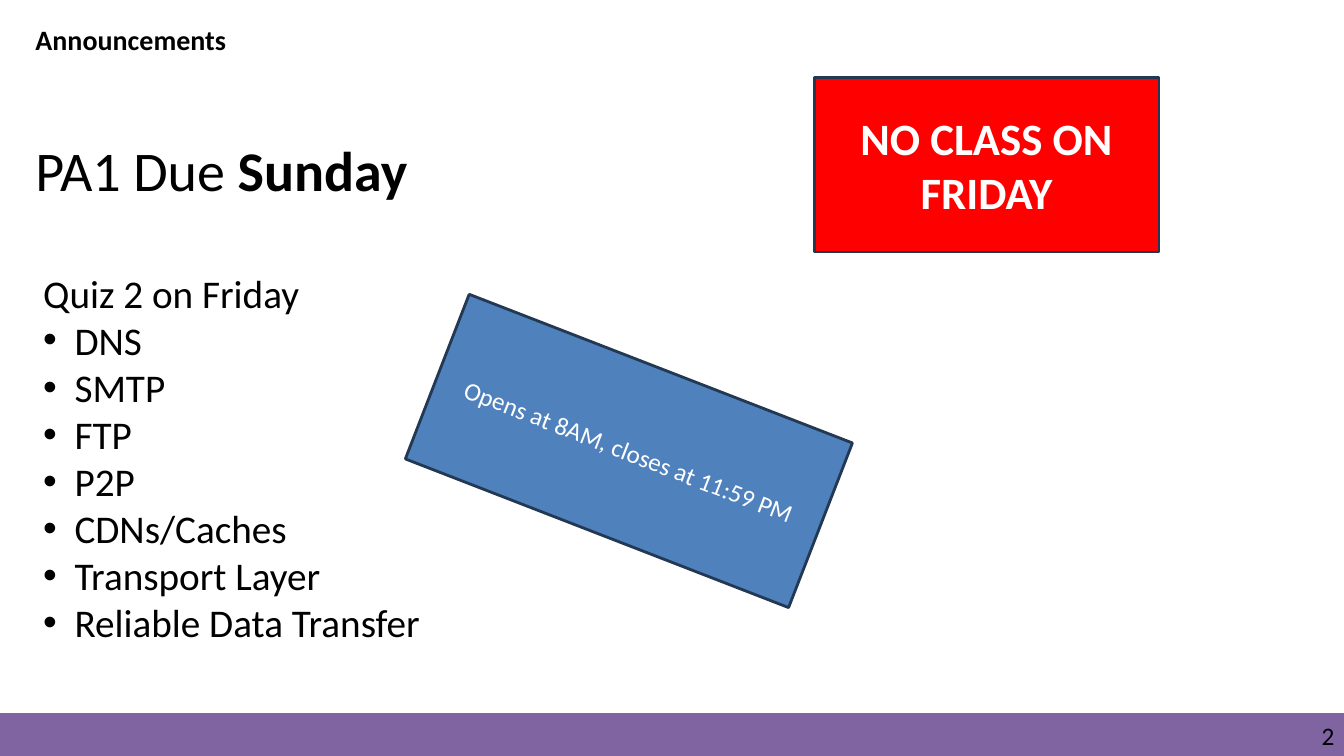
"""Build the course announcements slide."""
from pptx import Presentation
from pptx.dml.color import RGBColor
from pptx.enum.shapes import MSO_SHAPE
from pptx.enum.text import MSO_ANCHOR, PP_ALIGN
from pptx.oxml.xmlchemy import OxmlElement
from pptx.util import Cm, Pt


def paint(item, color):
    item.rgb = RGBColor.from_string(color)


def style(frame, size, color, bold=False, align=PP_ALIGN.LEFT):
    frame.word_wrap = True
    for para in frame.paragraphs:
        para.alignment = align
        for run in para.runs:
            run.font.name = "Calibri"
            run.font.size = Pt(size)
            run.font.bold = bold
            paint(run.font.color, color)


deck = Presentation()
deck.slide_width, deck.slide_height = Cm(33.87), Cm(19.05)
slide = deck.slides.add_slide(deck.slide_layouts[5])
shapes = slide.shapes

title = shapes.title
title.left, title.top, title.width, title.height = Cm(0.64), Cm(0.43), Cm(6.1), Cm(1.12)
title.text_frame.text = "Announcements"
title.text_frame.vertical_anchor = MSO_ANCHOR.TOP
style(title.text_frame, 20, "000000", True)

blocks = [
    ("", (0, 17.98, 33.87, 1.07), 0, "8064A2", "8064A2", 1, 18, False),
    ("Opens at 8AM, closes at 11:59 PM", (10.67, 9.14, 10.36, 4.45),
     21.2, "4F81BD", "233953", 2, 18, False),
    ("NO CLASS ON FRIDAY", (20.52, 1.96, 8.69, 4.39),
     0, "FF0000", "233953", 2, 32, True),
]
for text, box, turn, fill, edge, width, size, bold in blocks:
    block = shapes.add_shape(MSO_SHAPE.RECTANGLE, *map(Cm, box))
    block.shadow.inherit = False
    block.rotation = turn
    block.fill.solid()
    paint(block.fill.fore_color, fill)
    paint(block.line.color, edge)
    block.line.width = Pt(width)
    if text:
        block.text_frame.text = text
        block.text_frame.vertical_anchor = MSO_ANCHOR.MIDDLE
        style(block.text_frame, size, "FFFFFF", bold, PP_ALIGN.CENTER)

page = shapes.add_textbox(Cm(25.83), Cm(18.16), Cm(7.8), Cm(0.76)).text_frame
page.margin_left = page.margin_right = page.margin_top = page.margin_bottom = 0
page.text = "2"
style(page, 18, "000000", align=PP_ALIGN.RIGHT)

due = shapes.add_textbox(Cm(0.64), Cm(3.3), Cm(11.73), Cm(1.96)).text_frame
for part in ("PA1 Due ", "Sunday"):
    due.paragraphs[0].add_run().text = part
style(due, 40, "000000")
due.paragraphs[0].runs[1].font.bold = True

quiz = shapes.add_textbox(Cm(0.84), Cm(6.65), Cm(11.3), Cm(9.83)).text_frame
quiz.text = "Quiz 2 on Friday"
topics = ["DNS", "SMTP", "FTP", "P2P", "CDNs/Caches",
          "Transport Layer", "Reliable Data Transfer"]
for topic in topics:
    para = quiz.add_paragraph()
    para.text = topic
    props = para._p.get_or_add_pPr()
    props.set("marL", str(Cm(0.79)))
    props.set("indent", str(-Cm(0.79)))
    font = OxmlElement("a:buFont")
    font.set("typeface", "Arial")
    dot = OxmlElement("a:buChar")
    dot.set("char", "•")
    props.extend([font, dot])
style(quiz, 28, "000000")

deck.save("out.pptx")
